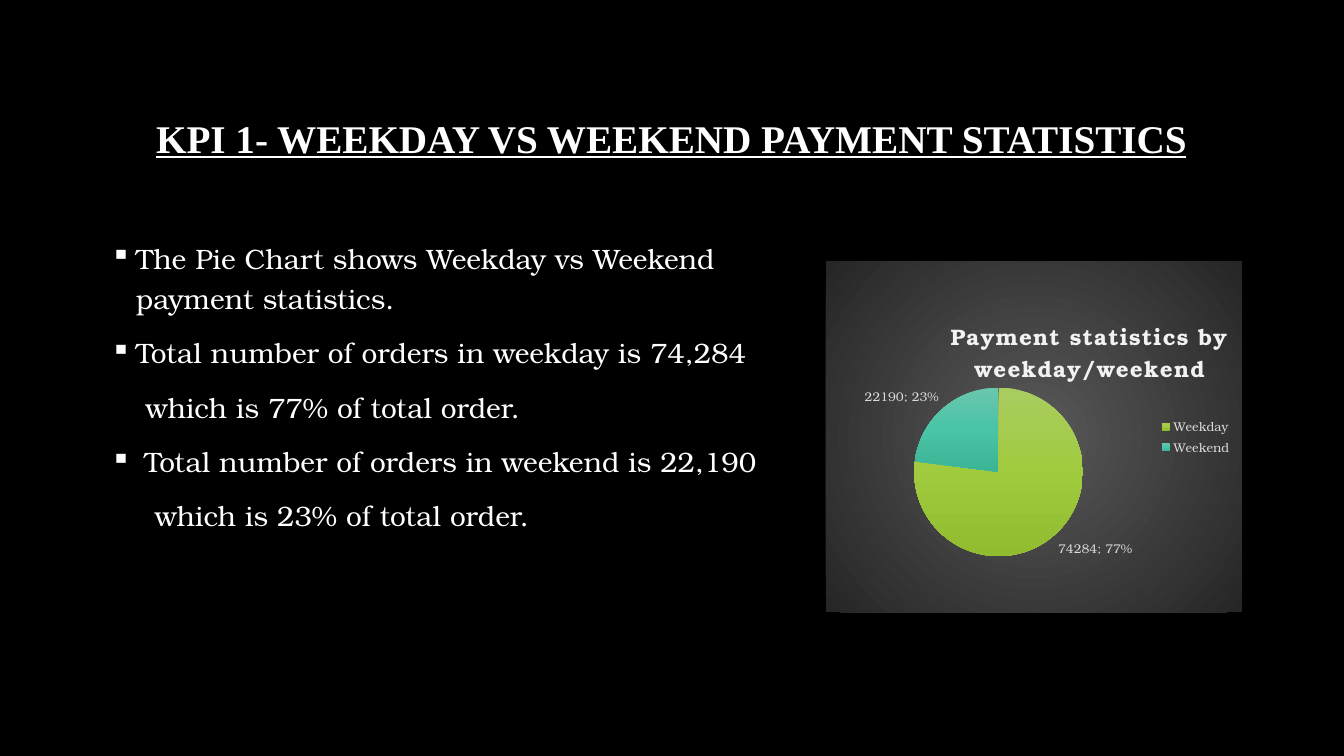
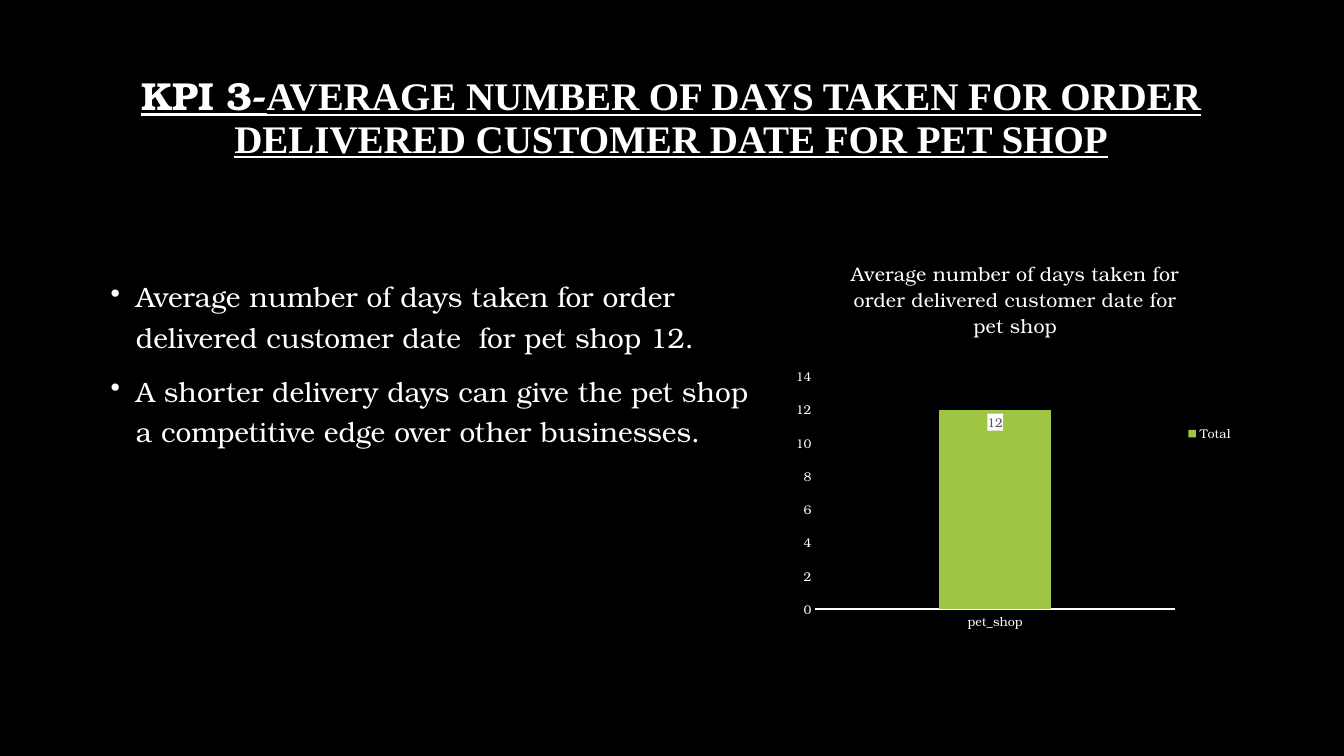
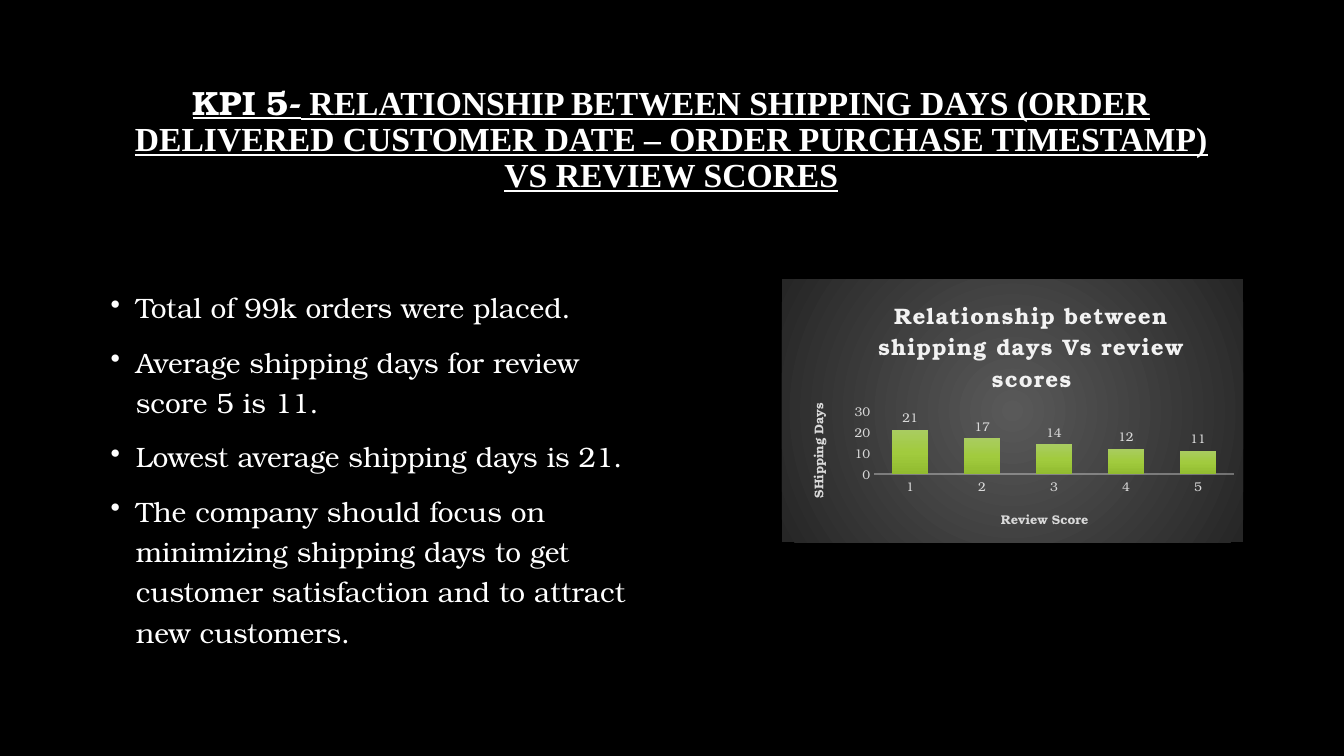
from lxml import etree
from pptx import Presentation
from pptx.chart.data import CategoryChartData
from pptx.dml.color import RGBColor
from pptx.enum.chart import (XL_CHART_TYPE, XL_LABEL_POSITION,
                             XL_LEGEND_POSITION, XL_TICK_MARK)
from pptx.enum.text import MSO_ANCHOR, PP_ALIGN
from pptx.oxml import parse_xml
from pptx.oxml.ns import nsdecls, qn
from pptx.util import Pt

PIE = XL_CHART_TYPE.PIE
COLUMN = XL_CHART_TYPE.COLUMN_CLUSTERED
OUTSIDE = XL_LABEL_POSITION.OUTSIDE_END
INSIDE = XL_LABEL_POSITION.INSIDE_END
RIGHT = XL_LEGEND_POSITION.RIGHT
NO_TICK = XL_TICK_MARK.NONE
MIDDLE = MSO_ANCHOR.MIDDLE
TOP = MSO_ANCHOR.TOP
CENTER = PP_ALIGN.CENTER
LEFT = PP_ALIGN.LEFT

SERIF = "Times New Roman"
BOOK = "TeX Gyre Bonum"
BLACK, WHITE, PALE, SOFT, GRAY, LIME = (
    "000000", "FFFFFF", "F2F2F2", "D9D9D9", "595959", "9EC544")
GREEN = [(0, "A9CC61"), (50, "A1CB3E"), (100, "92BC30")]
TEAL = [(0, "69C6AD"), (50, "4AC4A6"), (100, "3CB496")]
SMOKE = [(0, GRAY), (100, "262626")]
DOWN = '<a:lin ang="5400000" scaled="0"/>'
ROUND = ('<a:path path="circle"><a:fillToRect l="50000" t="50000" '
         'r="50000" b="50000"/></a:path>')


def tint(code):
    return RGBColor.from_string(code)


def style(font, size, color, bold=False, face=BOOK):
    font.name, font.size, font.bold = face, Pt(size), bold
    font.color.rgb = tint(color)


def blend(stops, shape):
    """Return gradient fill XML for (percent, colour) stops."""
    marks = "".join(f'<a:gs pos="{pos * 1000}"><a:srgbClr val="{code}"/></a:gs>'
                    for pos, code in stops)
    return f'<a:gradFill {nsdecls("a")}><a:gsLst>{marks}</a:gsLst>{shape}</a:gradFill>'


def frame(fill):
    """Return chart shape properties with the given fill and no outline."""
    return parse_xml(f'<c:spPr {nsdecls("c", "a")}>{fill}<a:ln><a:noFill/></a:ln></c:spPr>')


def paint(form, fill):
    """Fill a series or a point with one colour or with gradient stops."""
    if isinstance(fill, str):
        form.fill.solid()
        form.fill.fore_color.rgb = tint(fill)
    else:
        form._element.get_or_add_spPr().append(parse_xml(blend(fill, DOWN)))


def place(part, index, **spots):
    """Give a chart part a manual layout in fractions of the chart."""
    for old in part.findall(qn("c:layout")):
        part.remove(old)
    rows = '<c:layoutTarget val="inner"/>' if "w" in spots else ""
    rows += '<c:xMode val="edge"/><c:yMode val="edge"/>'
    rows += "".join(f'<c:{key} val="{val}"/>' for key, val in spots.items())
    part.insert(index, parse_xml(f'<c:layout {nsdecls("c")}><c:manualLayout>{rows}'
                                 '</c:manualLayout></c:layout>'))


class Deck:
    def __init__(self):
        self.prs = Presentation()
        self.prs.slide_width, self.prs.slide_height = Pt(960), Pt(540)
        self.slide = None

    def start(self):
        self.slide = self.prs.slides.add_slide(self.prs.slide_layouts[6])
        fill = self.slide.background.fill
        fill.solid()
        fill.fore_color.rgb = tint(BLACK)

    def box(self, top, width, height, anchor):
        shape = self.slide.shapes.add_textbox(Pt(72), Pt(top), Pt(width), Pt(height))
        text = shape.text_frame
        text.word_wrap, text.vertical_anchor = True, anchor
        return text

    def title(self, parts, size, top=48):
        """Add a centred heading from (text, font) parts."""
        para = self.box(top, 815, 104.5, MIDDLE).paragraphs[0]
        para.alignment, para.line_spacing = CENTER, 0.9
        for words, face in parts:
            run = para.add_run()
            run.text = words
            style(run.font, size, WHITE, True, face)
            run.font.underline = True

    def body(self, top, width, items):
        """Add paragraphs from (text, bullet, left margin) items."""
        text = self.box(top, width, 291.5, TOP)
        for num, (words, mark, left) in enumerate(items):
            para = text.add_paragraph() if num else text.paragraphs[0]
            para.text = words
            para.alignment, para.line_spacing, para.space_before = LEFT, 1.2, Pt(10)
            style(para.runs[0].font, 20, WHITE)
            props = para._p.get_or_add_pPr()
            props.set("marL", str(Pt(left)))
            props.set("indent", str(-Pt(left) if mark else 0))
            if mark:
                etree.SubElement(props, qn("a:buChar")).set("char", mark)
            else:
                etree.SubElement(props, qn("a:buNone"))

    def label(self, owner, words, spot, size, color, bold, space=0):
        """Set the text, font and place of a chart or axis title."""
        owner.text_frame.text = words
        run = owner.text_frame.paragraphs[0].runs[0]
        style(run.font, size, color, bold)
        if space:
            run._r.get_or_add_rPr().set("spc", str(space))
        place(owner._element, 1, x=spot[0], y=spot[1])

    def chart(self, kind, area, name, cats, vals, plot, fill=None):
        data = CategoryChartData()
        data.categories = cats
        data.add_series(name, vals)
        spot = [Pt(val) for val in area]
        chart = self.slide.shapes.add_chart(kind, *spot, data).chart
        style(chart.font, 10, WHITE)
        back = blend(fill, ROUND) if fill else "<a:noFill/>"
        root = chart._chartSpace
        root.find(qn("c:chart")).addnext(frame(back))
        field = root.find(".//" + qn("c:plotArea"))
        place(field, 0, **dict(zip("xywh", plot)))
        field.append(frame("<a:noFill/>"))
        chart.has_legend = False
        return chart

    def legend(self, chart, color):
        chart.has_legend = True
        chart.legend.position = RIGHT
        chart.legend.include_in_layout = False
        style(chart.legend.font, 9, color)

    def values(self, chart, spot, color, code=None):
        """Show data labels."""
        plot = chart.plots[0]
        plot.has_data_labels = True
        labels = plot.data_labels
        style(labels.font, 9, color)
        labels.show_value, labels.position = True, spot
        if code:
            labels.number_format, labels.number_format_is_linked = code, False
        return labels

    def columns(self, chart, fill, gap, lap, top, step, color, line, width):
        plot = chart.plots[0]
        plot.vary_by_categories = False
        plot.gap_width, plot.overlap = gap, lap
        paint(plot.series[0].format, fill)
        cat, val = chart.category_axis, chart.value_axis
        for axis in (cat, val):
            axis.has_major_gridlines = False
            axis.major_tick_mark = axis.minor_tick_mark = NO_TICK
            style(axis.tick_labels.font, 9, color)
        cat.format.line.color.rgb = tint(line)
        cat.format.line.width = Pt(width)
        val.format.line.fill.background()
        val.minimum_scale, val.maximum_scale, val.major_unit = 0, top, step
        val.tick_labels.number_format = "0"
        val.tick_labels.number_format_is_linked = False


def payment(deck):
    deck.start()
    deck.title([("KPI 1- WEEKDAY VS WEEKEND PAYMENT STATISTICS", SERIF)], 28)
    deck.body(164, 499, [
        ("The Pie Chart shows Weekday vs Weekend payment statistics.", "▪", 18),
        ("Total number of orders in weekday is 74,284", "▪", 18),
        ("which is 77% of total order.", None, 25),
        ("Total number of orders in weekend is 22,190", "▪", 24),
        ("which is 23% of total order.", None, 31.5)])
    chart = deck.chart(PIE, (590, 186.5, 297, 251), "Series 1",
                       ["Weekday", "Weekend"], [74284, 22190],
                       (0.21, 0.36, 0.41, 0.48), SMOKE)
    deck.label(chart.chart_title, "Payment statistics by weekday/weekend",
               (0.29, 0.15), 16, PALE, True, 100)
    deck.legend(chart, SOFT)
    deck.values(chart, OUTSIDE, SOFT).show_percentage = True
    chart.plots[0].vary_by_categories = True
    for num, fill in enumerate((GREEN, TEAL)):
        paint(chart.plots[0].series[0].points[num].format, fill)


def delivery(deck):
    deck.start()
    deck.title([("KPI 3-", BOOK),
                ("AVERAGE NUMBER OF DAYS TAKEN FOR ORDER DELIVERED CUSTOMER "
                 "DATE FOR PET SHOP", SERIF)], 27.9, 33)
    deck.body(191.5, 477, [
        ("Average number of days taken for order delivered customer date  "
         "for pet shop 12.", "•", 18),
        ("A shorter delivery days can give the pet shop a competitive edge "
         "over other businesses.", "•", 18)])
    chart = deck.chart(COLUMN, (563, 164, 325, 291.5), "Total", ["pet_shop"], [12],
                       (0.06, 0.36, 0.79, 0.57))
    deck.label(chart.chart_title, "Average number of days taken for order "
               "delivered customer date for pet shop", (0.13, 0.06), 14, WHITE, False)
    deck.legend(chart, WHITE)
    deck.columns(chart, LIME, 219, -27, 14, 2, WHITE, WHITE, 0.75)
    labels = deck.values(chart, INSIDE, GRAY, "#,##0")
    white = f'<a:solidFill><a:srgbClr val="{WHITE}"/></a:solidFill>'
    labels._element.find(qn("c:txPr")).addprevious(frame(white))


def review(deck):
    deck.start()
    deck.title([("KPI 5-", BOOK),
                (" RELATIONSHIP BETWEEN SHIPPING DAYS (ORDER DELIVERED CUSTOMER "
                 "DATE – ORDER PURCHASE TIMESTAMP) VS REVIEW SCORES", SERIF)], 24)
    deck.body(199.5, 402, [(words, "•", 18) for words in (
        "Total of 99k orders were placed.",
        "Average shipping days for review score 5 is 11.",
        "Lowest average shipping days is 21.",
        "The company should focus on minimizing shipping days to get customer "
        "satisfaction and to attract new customers.")])
    chart = deck.chart(COLUMN, (558.5, 199.5, 329.5, 188), "Series 1",
                       ["1", "2", "3", "4", "5"], [21, 17, 14, 12, 11],
                       (0.2, 0.5, 0.78, 0.24), SMOKE)
    deck.label(chart.chart_title, "Relationship between shipping days Vs review scores",
               (0.2, 0.05), 16, PALE, True, 100)
    deck.columns(chart, GREEN, 100, -24, 30, 10, SOFT, PALE, 1)
    deck.values(chart, OUTSIDE, SOFT, "0")
    cat, val = chart.category_axis, chart.value_axis
    line = cat._element.find(f".//{qn('a:ln')}//{qn('a:srgbClr')}")
    etree.SubElement(line, qn("a:alpha")).set("val", "54000")
    deck.label(cat.axis_title, "Review Score", (0.47, 0.86), 9, SOFT, True)
    deck.label(val.axis_title, "SHipping Days", (0.05, 0.46), 9, SOFT, True)
    turn = val.axis_title.text_frame._txBody.bodyPr
    turn.set("rot", "-5400000")
    turn.set("vert", "horz")


def main():
    deck = Deck()
    for build in (payment, delivery, review):
        build(deck)
    deck.prs.save("out.pptx")


if __name__ == "__main__":
    main()
